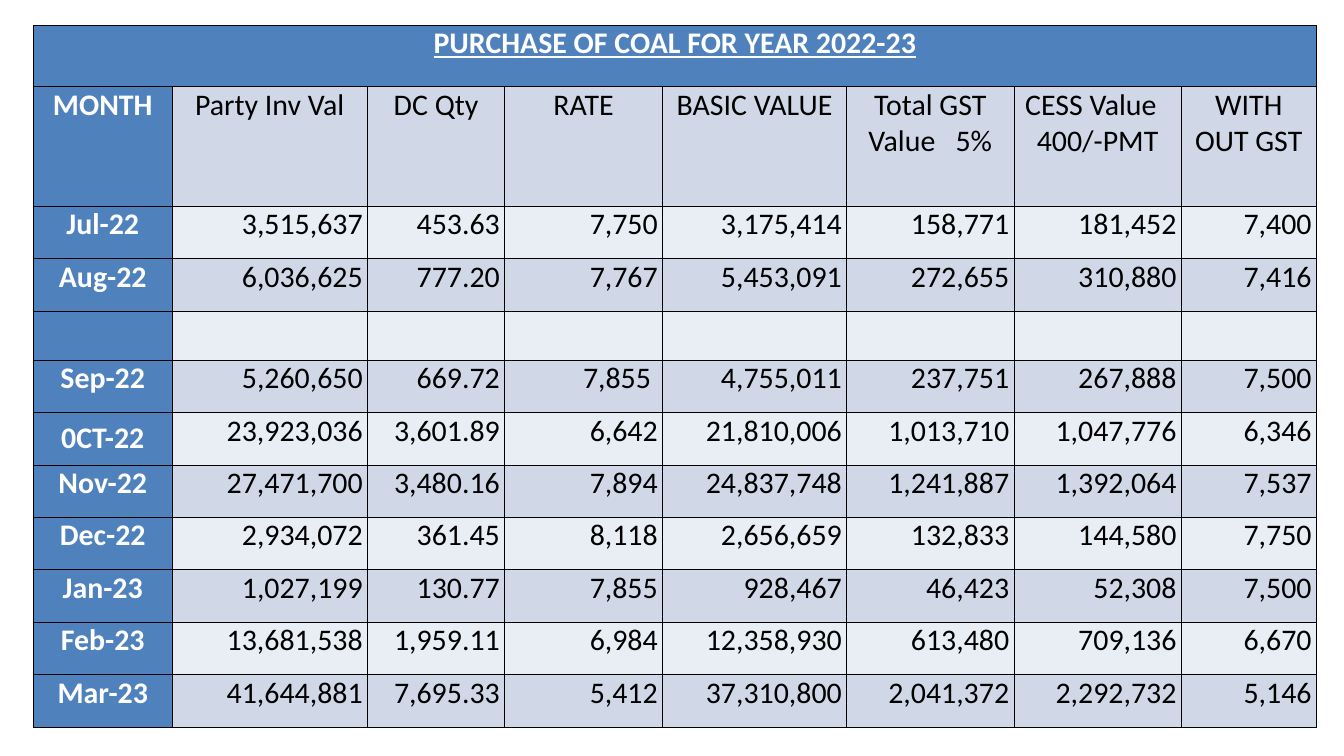
from dataclasses import dataclass

from lxml.etree import SubElement
from pptx import Presentation
from pptx.dml.color import RGBColor as RGB
from pptx.enum.text import MSO_ANCHOR as ANCHOR, PP_ALIGN as ALIGN
from pptx.oxml.ns import qn
from pptx.util import Emu, Pt

PX = 914400 // 100


@dataclass(frozen=True)
class Theme:
    """Colours and type sizes of the slide."""
    font: str = "Calibri"
    size: int = 32
    border_width: int = 1
    accent: str = "4F81BD"
    bands: tuple = ("E9EDF4", "D0D8E8")
    light_text: str = "FFFFFF"
    dark_text: str = "000000"
    border: str = "000000"


THEME = Theme()
TITLE = "PURCHASE OF COAL FOR YEAR 2022-23"
HEADINGS = ("MONTH", "Party Inv Val", "DC Qty", "RATE", "BASIC VALUE",
            "Total GST Value   5%", "CESS Value   400/-PMT", "WITH OUT GST")
PURCHASES = (
    ("Jul-22", "3,515,637", "453.63", "7,750", "3,175,414", "158,771", "181,452", "7,400"),
    ("Aug-22", "6,036,625", "777.20", "7,767", "5,453,091", "272,655", "310,880", "7,416"),
    ("",) * len(HEADINGS),
    ("Sep-22", "5,260,650", "669.72", "7,855 ", "4,755,011", "237,751", "267,888", "7,500"),
    ("0CT-22", "23,923,036", "3,601.89", "6,642", "21,810,006", "1,013,710", "1,047,776", "6,346"),
    ("Nov-22", "27,471,700", "3,480.16", "7,894", "24,837,748", "1,241,887", "1,392,064", "7,537"),
    ("Dec-22", "2,934,072", "361.45", "8,118", "2,656,659", "132,833", "144,580", "7,750"),
    ("Jan-23", "1,027,199", "130.77", "7,855", "928,467", "46,423", "52,308", "7,500"),
    ("Feb-23", "13,681,538", "1,959.11", "6,984", "12,358,930", "613,480", "709,136", "6,670"),
    ("Mar-23", "41,644,881", "7,695.33", "5,412", "37,310,800", "2,041,372", "2,292,732", "5,146"),
)
COLUMN_WIDTHS = (206, 291, 204, 235, 274, 249, 249, 201)
TITLE_HEIGHT, HEADING_HEIGHT, MONTH_HEIGHT, GAP_HEIGHT = 91, 178, 78, 73


def px(length):
    """Turn px into EMU."""
    return Emu(length * PX)


def draw_borders(cell):
    """Draw a thin line on each side of a cell."""
    properties = cell._tc.get_or_add_tcPr()
    for side in ("a:lnL", "a:lnR", "a:lnT", "a:lnB"):
        line = SubElement(properties, qn(side), w=str(Pt(THEME.border_width)))
        paint = SubElement(line, qn("a:solidFill"))
        SubElement(paint, qn("a:srgbClr"), val=THEME.border)


def fill_cell(cell, text, fill, align=ALIGN.CENTER, accent=False, underline=False):
    """Write and format one cell."""
    draw_borders(cell)
    cell.fill.solid()
    cell.fill.fore_color.rgb = RGB.from_string(fill)
    cell.margin_left = cell.margin_right = px(7)
    cell.margin_top = cell.margin_bottom = 0
    if not text:
        return
    paragraph = cell.text_frame.paragraphs[0]
    paragraph.text = text
    paragraph.alignment = align
    font = paragraph.runs[0].font
    font.name, font.size = THEME.font, Pt(THEME.size)
    font.bold, font.underline = accent, underline
    font.color.rgb = RGB.from_string(THEME.light_text if accent else THEME.dark_text)


def fill_row(table, row, texts, value_align):
    """Fill a row whose first cell names the month."""
    for column, text in enumerate(texts):
        if column == 0:
            fill_cell(table.cell(row, column), text, THEME.accent, accent=True)
        else:
            fill_cell(table.cell(row, column), text, THEME.bands[row % 2], value_align)


def add_purchase_grid(slide):
    """Add an empty table with its column widths and row heights."""
    heights = [TITLE_HEIGHT, HEADING_HEIGHT]
    heights += [MONTH_HEIGHT if month else GAP_HEIGHT for month, *_ in PURCHASES]
    table = slide.shapes.add_table(len(heights), len(COLUMN_WIDTHS), px(50), px(38),
                                   px(sum(COLUMN_WIDTHS)), px(sum(heights))).table
    table.first_row = table.horz_banding = False
    for column, width in zip(table.columns, COLUMN_WIDTHS):
        column.width = px(width)
    for row, height in zip(table.rows, heights):
        row.height = px(height)
    return table


def main():
    """Build the coal purchase slide."""
    deck = Presentation()
    deck.slide_width, deck.slide_height = px(2000), px(1125)
    slide = deck.slides.add_slide(deck.slide_layouts[6])
    table = add_purchase_grid(slide)
    for column in range(len(HEADINGS)):
        fill_cell(table.cell(0, column), "" if column else TITLE, THEME.accent,
                  accent=True, underline=True)
    table.cell(0, 0).merge(table.cell(0, len(HEADINGS) - 1))
    fill_row(table, 1, HEADINGS, ALIGN.CENTER)
    for row, purchase in enumerate(PURCHASES, start=2):
        fill_row(table, row, purchase, ALIGN.RIGHT)
        if purchase[0] == "0CT-22":
            table.cell(row, 0).vertical_anchor = ANCHOR.MIDDLE
    deck.save("out.pptx")


if __name__ == "__main__":
    main()
